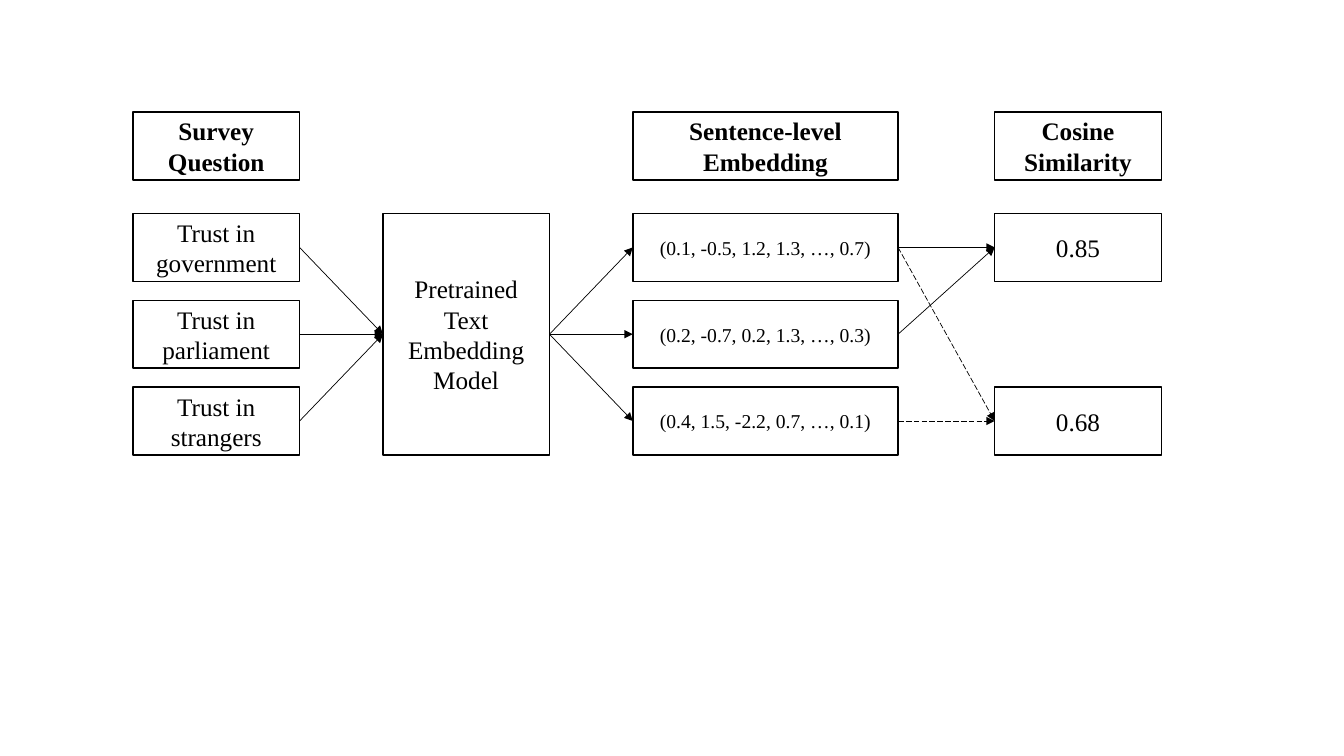
import pptx
import pptx.util
import pptx.dml.color
import pptx.enum.dml
import pptx.enum.shapes
import pptx.enum.text
import lxml.etree

Pt = pptx.util.Pt
BLACK = pptx.dml.color.RGBColor(0, 0, 0)
LEFT, RIGHT = 1, 3
HEAD, TOP, STEP, HIGH = 80, 152.5, 62, 48.5
WIDE, BROAD = 119, 189.5
ASK, MODEL, VECTOR, SCORE = 95, 273.5, 452, 710.5


class Chart:
    """Draw boxes and arrows in one style on a slide."""

    def __init__(self, slide, font="Times New Roman", color=BLACK):
        self.slide = slide
        self.font = font
        self.color = color

    def box(self, text, left, top, width=WIDE, height=HIGH, size=18, bold=False):
        shape = self.slide.shapes.add_shape(
            pptx.enum.shapes.MSO_SHAPE.RECTANGLE,
            Pt(left), Pt(top), Pt(width), Pt(height))
        shape.shadow.inherit = False
        shape.fill.background()
        shape.line.color.rgb = self.color
        shape.line.width = Pt(1)
        frame = shape.text_frame
        frame.word_wrap = True
        frame.vertical_anchor = pptx.enum.text.MSO_ANCHOR.MIDDLE
        para = frame.paragraphs[0]
        para.alignment = pptx.enum.text.PP_ALIGN.CENTER
        run = para.add_run()
        run.text = text
        run.font.name = self.font
        run.font.size = Pt(size)
        run.font.bold = bold
        run.font.color.rgb = self.color
        return shape

    def arrow(self, start, end, dashed=False):
        link = self.slide.shapes.add_connector(
            pptx.enum.shapes.MSO_CONNECTOR.STRAIGHT, 0, 0, 0, 0)
        link.begin_connect(start, RIGHT)
        link.end_connect(end, LEFT)
        link.line.color.rgb = self.color
        link.line.width = Pt(0.5)
        if dashed:
            link.line.dash_style = pptx.enum.dml.MSO_LINE.LONG_DASH
        qn = pptx.oxml.ns.qn
        props = link._element.spPr
        tail = lxml.etree.SubElement(props.find(qn("a:ln")), qn("a:tailEnd"))
        tail.set("type", "triangle")
        lxml.etree.SubElement(props, qn("a:effectLst"))


deck = pptx.Presentation()
deck.slide_width, deck.slide_height = Pt(960), Pt(540)
chart = Chart(deck.slides.add_slide(deck.slide_layouts[6]))

for text, left, width in [
    ("Survey Question", ASK, WIDE),
    ("Sentence-level Embedding", VECTOR, BROAD),
    ("Cosine Similarity", SCORE, WIDE),
]:
    chart.box(text, left, HEAD, width, bold=True)

rows = [TOP + STEP * i for i in range(3)]
topics = ["government", "parliament", "strangers"]
values = [
    "(0.1, -0.5, 1.2, 1.3, …, 0.7)",
    "(0.2, -0.7, 0.2, 1.3, …, 0.3)",
    "(0.4, 1.5, -2.2, 0.7, …, 0.1)",
]
model = chart.box("Pretrained Text Embedding Model", MODEL, TOP,
                  height=2 * STEP + HIGH)
asks = [chart.box(f"Trust in {topic}", ASK, row)
        for topic, row in zip(topics, rows)]
vectors = [chart.box(value, VECTOR, row, BROAD, size=14)
           for value, row in zip(values, rows)]
near = chart.box("0.85", SCORE, rows[0])
far = chart.box("0.68", SCORE, rows[2])

for ask, vector in zip(asks, vectors):
    chart.arrow(ask, model)
    chart.arrow(model, vector)
for vector in vectors[:2]:
    chart.arrow(vector, near)
for vector in vectors[::2]:
    chart.arrow(vector, far, dashed=True)

deck.save("out.pptx")
